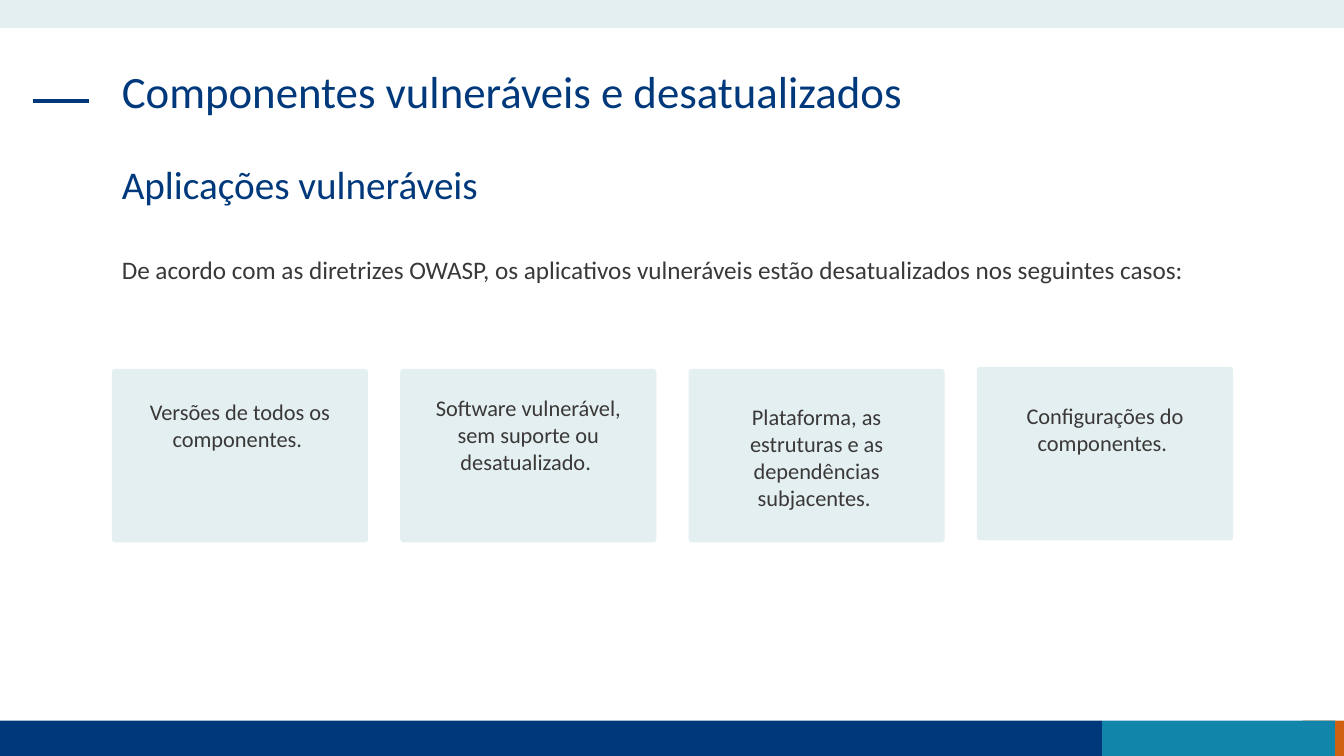
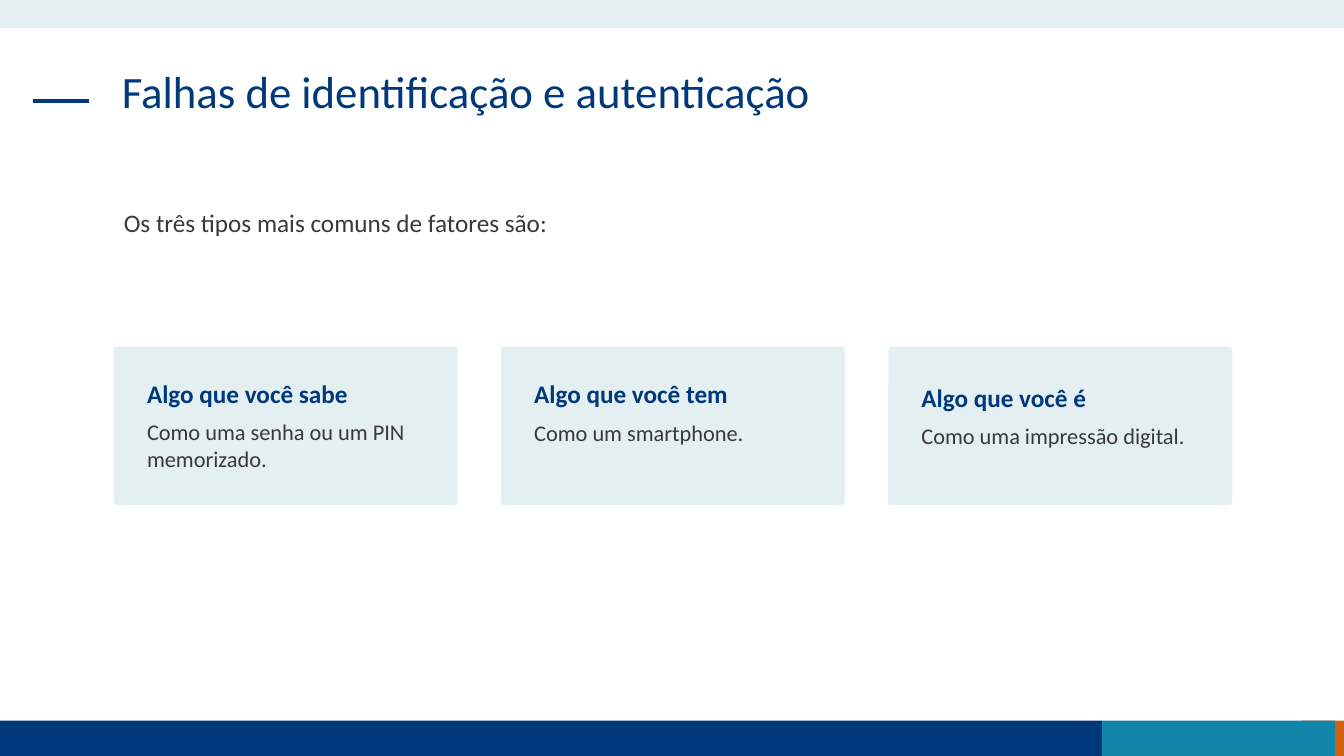
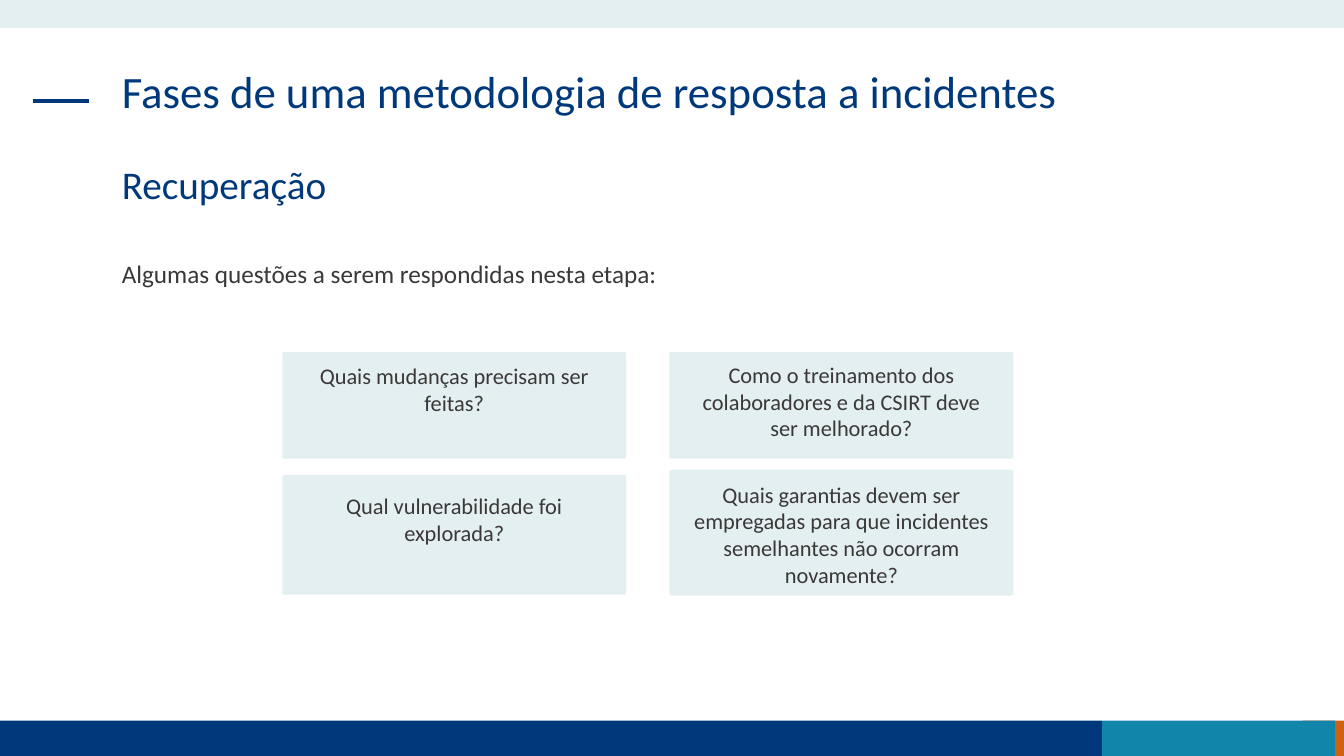
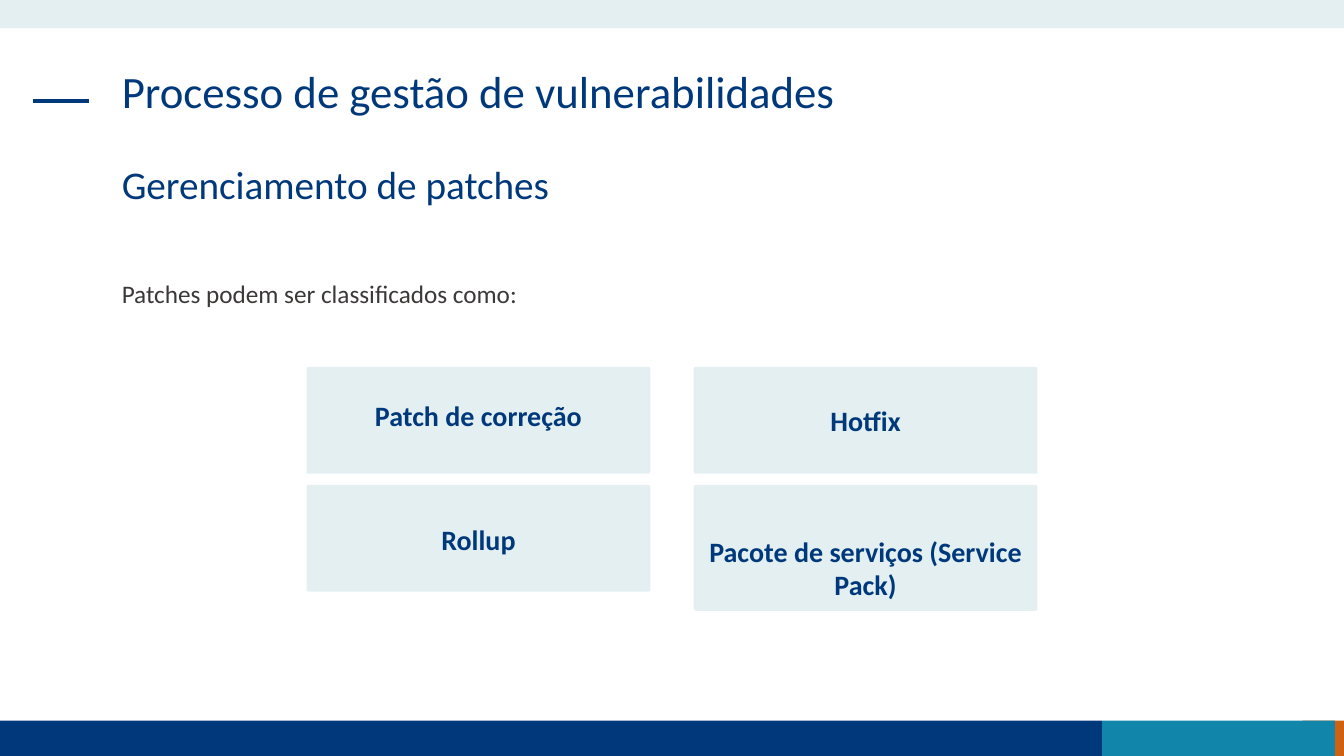
from pptx import Presentation
from pptx.dml.color import RGBColor
from pptx.enum.shapes import MSO_CONNECTOR, MSO_SHAPE
from pptx.enum.text import PP_ALIGN
from pptx.oxml.ns import qn
from pptx.util import Pt
from lxml import etree

RECT = MSO_SHAPE.RECTANGLE
ROUND = MSO_SHAPE.ROUNDED_RECTANGLE
LINE = MSO_CONNECTOR.STRAIGHT
LEFT = PP_ALIGN.LEFT
CENTER = PP_ALIGN.CENTER

SCALE = 9144  # EMU per px, 100 px to the inch
WIDE, HIGH = 1333, 750
NAVY, TEAL, RUST = "00397B", "1185AA", "D06110"
PALE, GREY = "E3EFF1", "3B3838"
FONT = "Calibri"
BANDS = [
    (1292, 715, 41, 35, RUST),
    (0, 715, 1093, 35, NAVY),
    (1093, 715, 231, 35, TEAL),
    (0, 0, WIDE, 28, PALE),
]
MARGIN, SPAN = 111, 1110
CARD, STEP, INSET = 341, 384, 23


def px(*sizes):
    return [size * SCALE for size in sizes]


def tint(code):
    return RGBColor.from_string(code)


class Deck:
    def __init__(self):
        self.file = Presentation()
        self.file.slide_width, self.file.slide_height = px(WIDE, HIGH)
        self.slide = None

    def page(self, title, topic=None):
        """Start a slide with its bands, dash, title and optional topic."""
        self.slide = self.file.slides.add_slide(self.file.slide_layouts[6])
        for x, y, w, h, color in BANDS:
            self.shape(RECT, x, y, w, h, color)
        self.dash(33, 100, 88)
        self.text(title, MARGIN, 64, SPAN, 94, 32, NAVY, lead=0.9)
        if topic:
            self.text(topic, MARGIN, 159, SPAN, 94, 28, NAVY, lead=0.9)

    def shape(self, kind, x, y, w, h, color):
        shape = self.slide.shapes.add_shape(kind, *px(x, y, w, h))
        shape.shadow.inherit = False
        shape.fill.solid()
        shape.fill.fore_color.rgb = tint(color)
        shape.line.fill.background()
        return shape

    def dash(self, x, y, end):
        line = self.slide.shapes.add_connector(LINE, *px(x, y, end, y))
        line.line.color.rgb = tint(NAVY)
        line.line.width = Pt(3)
        etree.SubElement(line._element.spPr, qn("a:effectLst"))

    def text(self, words, x, y, w, h, size=18, color=GREY,
             bold=False, align=LEFT, lead=None):
        frame = self.slide.shapes.add_textbox(*px(x, y, w, h)).text_frame
        frame.word_wrap = True
        para = frame.paragraphs[0]
        para.text = words
        para.alignment = align
        para.line_spacing = lead
        font = para.font
        font.name, font.size, font.bold = FONT, Pt(size), bold
        font.color.rgb = tint(color)

    def card(self, x, y, w, h):
        self.shape(ROUND, x, y, w, h, PALE).adjustments[0] = 0.019

    def label(self, words, box, top, tall, inset=INSET, size=16,
              color=GREY, bold=False):
        """Draw a card with centred text."""
        x, y, w, h = box
        self.card(x, y, w, h)
        self.text(words, x + inset, top, w - 2 * inset, tall,
                  size, color, bold, CENTER)


def outdated(deck):
    deck.page("Componentes vulneráveis e desatualizados",
              "Aplicações vulneráveis")
    deck.text("De acordo com as diretrizes OWASP, os aplicativos vulneráveis "
              "estão desatualizados nos seguintes casos:",
              MARGIN, 247, SPAN, 40)
    cases = [
        ("Versões de todos os componentes. ", 366, 390, 64),
        ("Software vulnerável, sem suporte ou desatualizado. ", 366, 386, 91),
        ("Plataforma, as estruturas e as dependências subjacentes. ",
         366, 395, 118),
        ("Configurações do componentes. ", 364, 394, 64),
    ]
    for i, (words, y, top, tall) in enumerate(cases):
        deck.label(words, (MARGIN + i * 286, y, 254, 172), top, tall, 17)


def factors(deck):
    deck.page("Falhas de identificação e autenticação")
    deck.text("Os três tipos mais comuns de fatores são:", 113, 201, 667, 40)
    kinds = [
        ("Algo que você sabe", "Como uma senha ou um PIN memorizado.",
         370, 410, 118),
        ("Algo que você tem", "Como um smartphone.", 370, 411, 64),
        ("Algo que você é", "Como uma impressão digital.", 374, 414, 37),
    ]
    for i, (head, words, top, below, tall) in enumerate(kinds):
        x = 113 + i * STEP
        wide = CARD - 2 * INSET
        deck.card(x, 344, CARD, 157)
        deck.text(head, x + INSET, top, wide, 40, color=NAVY, bold=True)
        deck.text(words, x + INSET, below, wide, tall, 16)


def recovery(deck):
    deck.page("Fases de uma metodologia de resposta a incidentes",
              "Recuperação")
    deck.text("Algumas questões a serem respondidas nesta etapa:",
              MARGIN, 251, 667, 40)
    asks = [
        ("Quais mudanças precisam ser feitas?", 349, 106, 354, 91, INSET),
        ("Como o treinamento dos colaboradores e da CSIRT deve ser "
         "melhorado?", 349, 106, 353, 118, INSET),
        ("Qual vulnerabilidade foi explorada?", 471, 119, 483, 91, INSET),
        ("Quais garantias devem ser empregadas para que incidentes "
         "semelhantes não ocorram novamente?", 466, 125, 472, 118, 0),
    ]
    for i, (words, y, h, top, tall, inset) in enumerate(asks):
        box = (280 + i % 2 * STEP, y, CARD, h)
        deck.label(words, box, top, tall, inset)


def patches(deck):
    deck.page("Processo de gestão de vulnerabilidades",
              "Gerenciamento de patches")
    deck.text("Patches podem ser classificados como:", MARGIN, 271, 667, 71)
    kinds = [
        ("Patch de correção", 106, 390, 77, INSET),
        ("Hotfix", 106, 395, 44, INSET),
        ("Rollup", 106, 513, 77, INSET),
        ("Pacote de serviços (Service Pack)", 125, 525, 77, 0),
    ]
    for i, (words, h, top, tall, inset) in enumerate(kinds):
        row, col = divmod(i, 2)
        box = (304 + col * STEP, 364 + row * 117, CARD, h)
        deck.label(words, box, top, tall, inset, 20, NAVY, True)


def main():
    deck = Deck()
    for build in (outdated, factors, recovery, patches):
        build(deck)
    deck.file.save("out.pptx")


if __name__ == "__main__":
    main()
